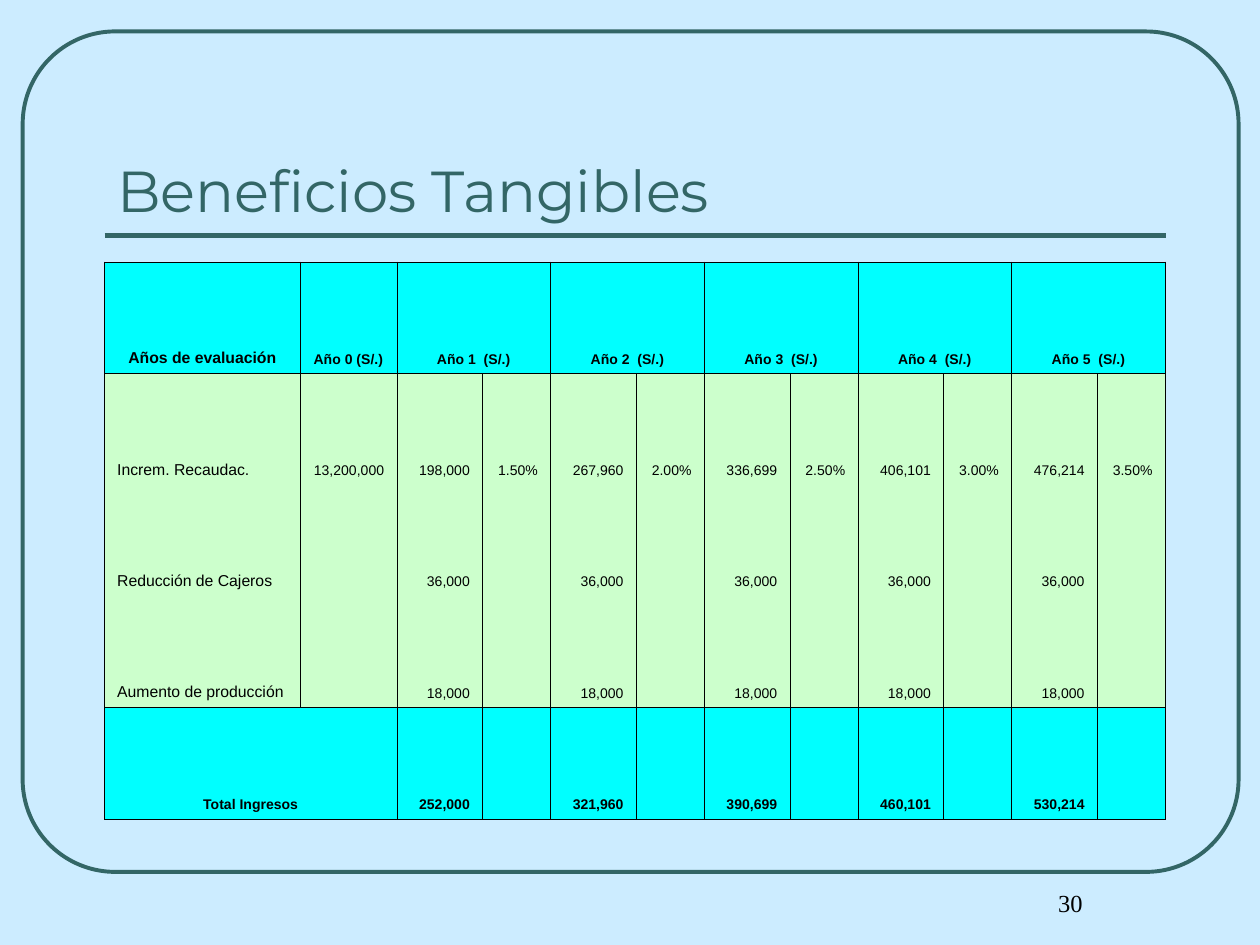
from dataclasses import dataclass

from lxml.etree import SubElement
from pptx import Presentation
from pptx.dml.color import RGBColor
from pptx.enum.shapes import MSO_CONNECTOR, MSO_SHAPE
from pptx.enum.text import MSO_ANCHOR, MSO_AUTO_SIZE, PP_ALIGN
from pptx.oxml.ns import qn
from pptx.util import Inches, Pt


@dataclass(frozen=True)
class Theme:
    background: str = "CCECFF"
    accent: str = "336666"
    ink: str = "000000"
    band: str = "00FFFF"
    body: str = "CCFFCC"
    title_font: str = "Montserrat"
    table_font: str = "Arial"
    number_font: str = "Times New Roman"
    title_size: float = 33
    label_size: float = 9
    value_size: float = 8
    number_size: float = 14
    frame_width: float = 2.25
    rule_width: float = 3
    grid_width: float = 0.45


class SlideBuilder:
    """Holds the theme and the slide being drawn."""

    def __init__(self, slide, theme):
        self.slide = slide
        self.theme = theme
        fill = slide.background.fill
        fill.solid()
        fill.fore_color.rgb = RGBColor.from_string(theme.background)

    def add_text(self, frame, text, font, size, color, align=PP_ALIGN.LEFT,
                 bold=False, margin=0, indent=0):
        paragraph = frame.paragraphs[0]
        paragraph.alignment = align
        properties = paragraph._p.get_or_add_pPr()
        for name, length in {"marL": margin, "indent": indent}.items():
            properties.set(name, str(Inches(length)))
        run = paragraph.add_run()
        run.text = text
        formats = {"name": font, "size": Pt(size), "bold": bold}
        for name, value in formats.items():
            setattr(run.font, name, value)
        run.font.color.rgb = RGBColor.from_string(color)

    def outline(self, shape, width):
        shape.line.color.rgb = RGBColor.from_string(self.theme.accent)
        shape.line.width = Pt(width)

    def frame(self, left, top, width, height, corner):
        border = self.slide.shapes.add_shape(
            MSO_SHAPE.ROUNDED_RECTANGLE,
            Inches(left), Inches(top), Inches(width), Inches(height))
        border.adjustments[0] = corner
        border.shadow.inherit = False
        border.fill.background()
        self.outline(border, self.theme.frame_width)

    def rule(self, left, right, y):
        underline = self.slide.shapes.add_connector(
            MSO_CONNECTOR.STRAIGHT,
            Inches(left), Inches(y), Inches(right), Inches(y))
        self.outline(underline, self.theme.rule_width)
        SubElement(underline._element.spPr, qn("a:effectLst"))

    def title(self, text, left, top, width, height):
        heading = self.slide.shapes.title
        place = {"left": left, "top": top, "width": width, "height": height}
        for name, length in place.items():
            setattr(heading, name, Inches(length))
        frame = heading.text_frame
        frame.auto_size = MSO_AUTO_SIZE.NONE
        frame.vertical_anchor = MSO_ANCHOR.BOTTOM
        self.add_text(frame, text, self.theme.title_font,
                      self.theme.title_size, self.theme.accent)

    def page_number(self, text, left, top, width, height):
        box = self.slide.shapes.add_textbox(
            Inches(left), Inches(top), Inches(width), Inches(height))
        box.text_frame.word_wrap = True
        self.add_text(box.text_frame, text, self.theme.number_font,
                      self.theme.number_size, self.theme.ink,
                      PP_ALIGN.CENTER, margin=0.24)

    def borders(self, cell, visible):
        properties = cell._tc.get_or_add_tcPr()
        for position, side in enumerate("LRTB"):
            edge = SubElement(properties, qn(f"a:ln{side}"),
                              w=str(Pt(self.theme.grid_width)))
            if side in visible:
                paint = SubElement(edge, qn("a:solidFill"))
                SubElement(paint, qn("a:srgbClr"), val=self.theme.ink)
            else:
                SubElement(edge, qn("a:noFill"))
            properties.insert(position, edge)

    def table(self, rows, merges, widths, left, top, height):
        last = len(rows) - 1
        grid = self.slide.shapes.add_table(
            len(rows), len(widths), Inches(left), Inches(top),
            Inches(sum(widths)), Inches(height)).table
        grid.first_row = grid.horz_banding = False
        for column, width in zip(grid.columns, widths):
            column.width = Inches(width)
        for r, row in enumerate(rows):
            in_band = r in (0, last)
            # Body rows are parted only by vertical lines
            visible = "LR"
            visible += "T" if in_band or r == 1 else ""
            visible += "B" if in_band or r == last - 1 else ""
            for c, text in enumerate(row):
                cell = grid.cell(r, c)
                cell.vertical_anchor = MSO_ANCHOR.BOTTOM
                cell.fill.solid()
                cell.fill.fore_color.rgb = RGBColor.from_string(
                    self.theme.band if in_band else self.theme.body)
                self.borders(cell, visible)
                if not text:
                    continue
                if r == 0 or (r == last and c == 0):
                    align = PP_ALIGN.CENTER
                else:
                    align = PP_ALIGN.LEFT if c == 0 else PP_ALIGN.RIGHT
                is_label = c == 0 and r != last
                size = self.theme.label_size if is_label else self.theme.value_size
                self.add_text(cell.text_frame, text, self.theme.table_font, size,
                              self.theme.ink, align, in_band, 0.38, -0.38)
        for r, c in merges:
            grid.cell(r, c).merge(grid.cell(r, c + 1))


# Each year takes two columns: amount and rate
INCREASES = [("198,000", "1.50%"), ("267,960", "2.00%"), ("336,699", "2.50%"),
             ("406,101", "3.00%"), ("476,214", "3.50%")]
TOTALS = ["252,000", "321,960", "390,699", "460,101", "530,214"]
YEARS = len(TOTALS)


def yearly(label, start, amounts):
    return [label, start] + [text for amount in amounts for text in (amount, "")]


BENEFITS = [
    yearly("Años de evaluación", "Año 0 (S/.)",
           [f"Año {year}  (S/.)" for year in range(1, YEARS + 1)]),
    ["Increm. Recaudac.", "13,200,000"] + [text for pair in INCREASES for text in pair],
    yearly("Reducción de Cajeros", "", ["36,000"] * YEARS),
    yearly("Aumento de producción", "", ["18,000"] * YEARS),
    yearly("Total Ingresos", "", TOTALS),
]


def main():
    deck = Presentation()
    deck.slide_width, deck.slide_height = Inches(10), Inches(7.5)
    slide = deck.slides.add_slide(deck.slide_layouts[5])
    builder = SlideBuilder(slide, Theme())
    left, width = 0.83, 8.42

    # Frame and heading
    builder.frame(0.18, 0.25, 9.65, 6.67, 0.11)
    builder.rule(left, left + width, 1.87)
    builder.title("Beneficios Tangibles", left, 0.58, width, 1.25)

    # Benefits by year
    merges = [(0, 2 + 2 * year) for year in range(YEARS)] + [(len(BENEFITS) - 1, 0)]
    builder.table(BENEFITS, merges, [1.55, 0.77] + [0.68, 0.54] * YEARS,
                  left, 2.08, 4.42)

    # Page number
    builder.page_number("30", 7.5, 7, 1.75, 0.5)
    deck.save("out.pptx")


if __name__ == "__main__":
    main()
